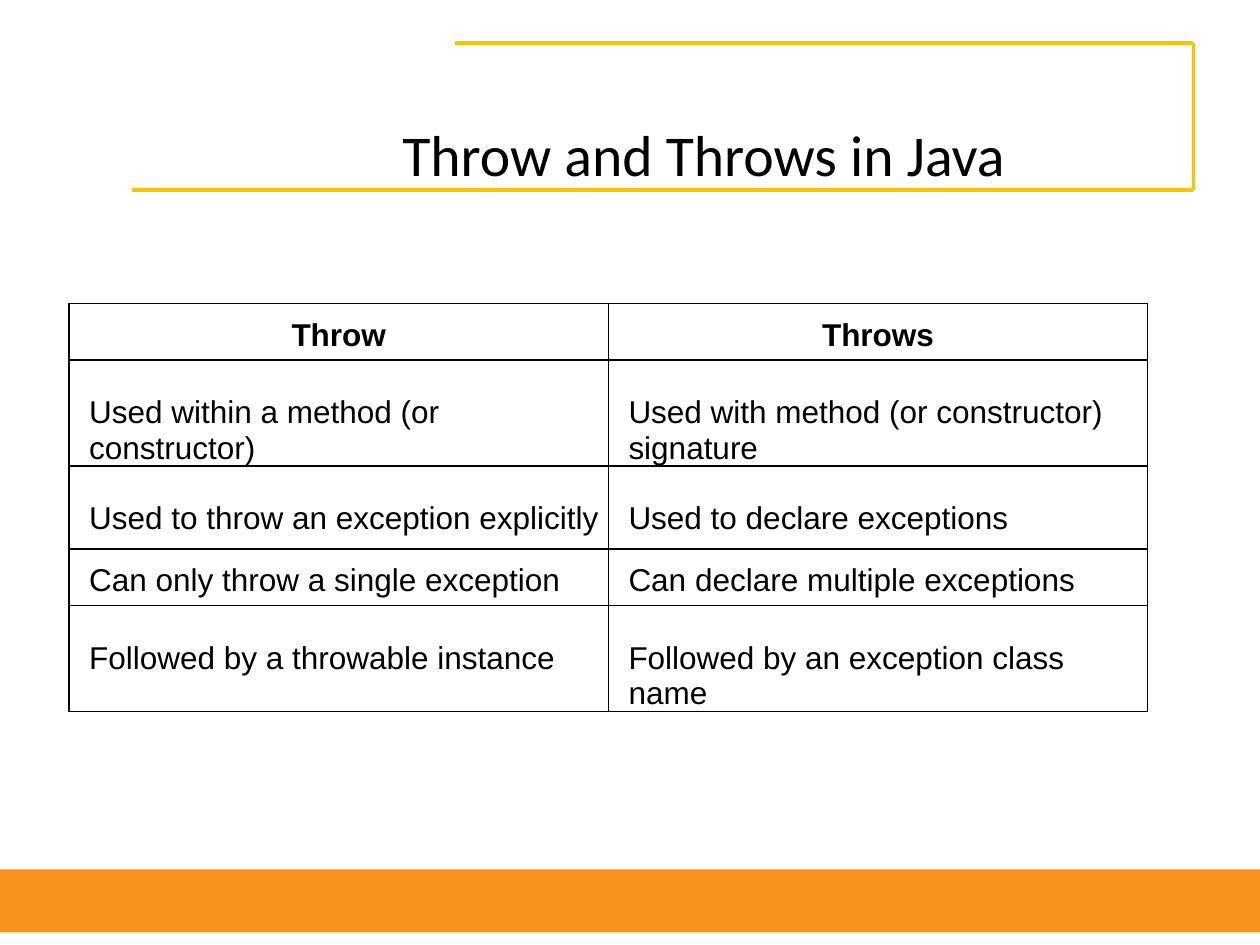
from lxml import etree
from pptx import Presentation
from pptx.dml.color import RGBColor
from pptx.enum.shapes import MSO_CONNECTOR, MSO_SHAPE
from pptx.enum.text import MSO_ANCHOR, PP_ALIGN
from pptx.oxml.ns import qn
from pptx.util import Pt

STRAIGHT = MSO_CONNECTOR.STRAIGHT
RECTANGLE = MSO_SHAPE.RECTANGLE
CENTER, LEFT = PP_ALIGN.CENTER, PP_ALIGN.LEFT
MIDDLE, TOP = MSO_ANCHOR.MIDDLE, MSO_ANCHOR.TOP

COLORS = {"text": "000000", "frame": "FFC100", "band": "F8931D"}
TITLE = "Throw and Throws in Java"
ROWS = [
    ("Throw", "Throws"),
    ("Used within a method (or constructor)", "Used with method (or constructor) signature"),
    ("Used to throw an exception explicitly", "Used to declare exceptions"),
    ("Can only throw a single exception", "Can declare multiple exceptions"),
    ("Followed by a throwable instance", "Followed by an exception class name"),
]
ROW_HEIGHTS = [32.4, 60.3, 47.5, 32.4, 60.3]
TOP_INSETS = [8, 20.1, 20.1, 8, 20.1]
COLUMN_WIDTH = 308.2
CELL_INDENT = 11.5
FRAME_POINTS = [(260, 24.5), (682, 24.5), (682, 108.7), (75.6, 108.7)]


def color(name):
    return RGBColor.from_string(COLORS[name])


def style(paragraph, font_name, size, bold, alignment):
    paragraph.alignment = alignment
    font = paragraph.font
    font.name, font.size, font.bold = font_name, Pt(size), bold
    font.color.rgb = color("text")


def set_insets(target, left=0, top=0):
    target.margin_left, target.margin_top = Pt(left), Pt(top)
    target.margin_right = target.margin_bottom = 0


def add_borders(cell):
    properties = cell._tc.get_or_add_tcPr()
    for side in ("lnL", "lnR", "lnT", "lnB"):
        line = etree.SubElement(properties, qn(f"a:{side}"), w=str(Pt(1)))
        fill = etree.SubElement(line, qn("a:solidFill"))
        etree.SubElement(fill, qn("a:srgbClr"), val=COLORS["text"])


deck = Presentation()
deck.slide_width, deck.slide_height = Pt(720), Pt(540)
page = deck.slides.add_slide(deck.slide_layouts[6])

for start, end in zip(FRAME_POINTS, FRAME_POINTS[1:]):
    edge = page.shapes.add_connector(STRAIGHT, *map(Pt, start + end))
    edge.line.color.rgb = color("frame")
    edge.line.width = Pt(2)
    etree.SubElement(edge._element.spPr, qn("a:effectLst"))

band = page.shapes.add_shape(RECTANGLE, 0, Pt(496.8), Pt(720), Pt(36))
band.shadow.inherit = False
band.fill.solid()
band.fill.fore_color.rgb = color("band")
band.line.fill.background()

table = page.shapes.add_table(
    len(ROWS), 2, Pt(39.5), Pt(173.4), Pt(2 * COLUMN_WIDTH), Pt(sum(ROW_HEIGHTS))
).table
for column in table.columns:
    column.width = Pt(COLUMN_WIDTH)
for index, (texts, height, inset) in enumerate(zip(ROWS, ROW_HEIGHTS, TOP_INSETS)):
    header = index == 0
    table.rows[index].height = Pt(height)
    for position, text in enumerate(texts):
        cell = table.cell(index, position)
        cell.text = text
        cell.vertical_anchor = TOP
        set_insets(cell, 0 if header else CELL_INDENT, inset)
        style(cell.text_frame.paragraphs[0], "Arial", 18, header, CENTER if header else LEFT)
        add_borders(cell)
        cell.fill.background()

title_box = page.shapes.add_textbox(Pt(198), Pt(66.2), Pt(408.2), Pt(41.8))
title_frame = title_box.text_frame
title_frame.word_wrap = True
title_frame.vertical_anchor = MIDDLE
set_insets(title_frame, top=1)
title_frame.text = TITLE
style(title_frame.paragraphs[0], "Calibri", 33, False, CENTER)

deck.save("out.pptx")
